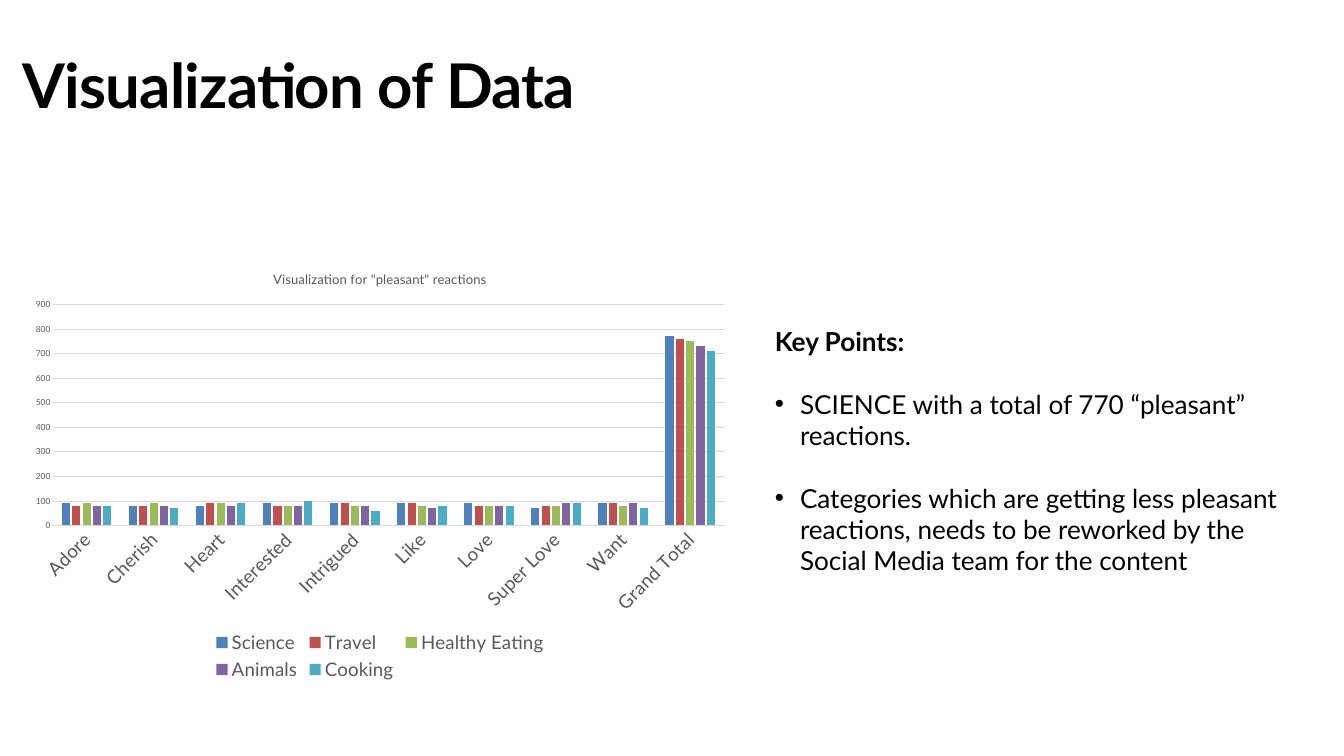
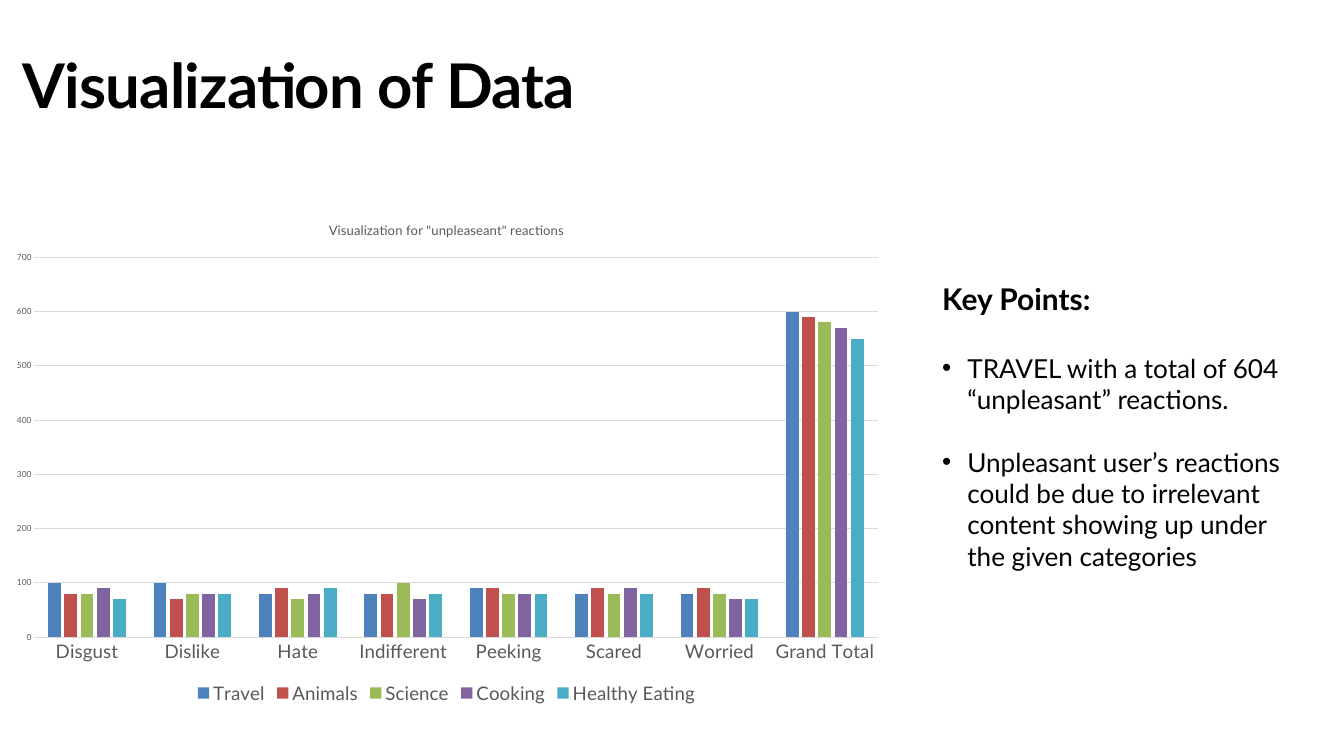
from dataclasses import dataclass
from lxml.etree import SubElement
from pptx import Presentation
from pptx.chart.data import CategoryChartData
from pptx.dml.color import RGBColor
from pptx.enum.chart import XL_CHART_TYPE, XL_LEGEND_POSITION, XL_TICK_MARK
from pptx.enum.text import MSO_ANCHOR, MSO_AUTO_SIZE, PP_ALIGN
from pptx.oxml.ns import qn
from pptx.util import Inches, Pt


@dataclass(frozen=True)
class Theme:
    """Colours, font and type sizes shared by the slides."""
    font: str = "Lato"
    ink: str = "000000"
    grey: str = "595959"
    rule: str = "D9D9D9"
    bars: tuple = ("4F81BD", "C0504D", "9BBB59", "8064A2", "4BACC6")
    title: int = 66
    leading: int = 96
    body: int = 28
    hang: int = 27
    caption: int = 14
    label: int = 20
    scale: int = 9


THEME = Theme()
TITLE_BOX = (0.33, 0.47, 9.12, 1.24)

PLEASANT = {
    "caption": 'Visualization for "pleasant" reactions',
    "groups": ["Adore", "Cherish", "Heart", "Interested", "Intrigued",
               "Like", "Love", "Super Love", "Want", "Grand Total"],
    "series": {
        "Science": (90, 80, 80, 90, 90, 90, 90, 70, 90, 770),
        "Travel": (80, 80, 90, 80, 90, 90, 80, 80, 90, 760),
        "Healthy Eating": (90, 90, 90, 80, 80, 80, 80, 80, 80, 750),
        "Animals": (80, 80, 80, 80, 80, 70, 80, 90, 90, 730),
        "Cooking": (80, 70, 90, 100, 60, 80, 80, 90, 70, 710),
    },
    "top": 900,
    "tilt": -45,
    "plot": (0.47, 0.74, 9.98, 3.29),
    "box": (0.32, 3.79, 10.67, 6.4),
}
UNPLEASANT = {
    "caption": 'Visualization for "unpleaseant" reactions',
    "groups": ["Disgust", "Dislike", "Hate", "Indifferent", "Peeking",
               "Scared", "Worried", "Grand Total"],
    "series": {
        "Travel": (100, 100, 80, 80, 90, 80, 80, 600),
        "Animals": (80, 70, 90, 80, 90, 90, 90, 590),
        "Science": (80, 80, 70, 100, 80, 80, 80, 580),
        "Cooking": (90, 80, 80, 70, 80, 90, 70, 570),
        "Healthy Eating": (70, 80, 90, 80, 80, 80, 70, 550),
    },
    "top": 700,
    "tilt": 0,
    "plot": (0.53, 0.79, 12.55, 5.65),
    "box": (-0.02, 3.04, 13.33, 7.5),
}
SLIDES = [
    (PLEASANT, (11.43, 4.79, 8.25, 3.87), 28, [
        "SCIENCE with a total of 770 “pleasant” reactions.",
        "Categories which are getting less pleasant reactions, needs to be "
        "reworked by the Social Media team for the content"]),
    (UNPLEASANT, (13.92, 4.12, 5.67, 4.48), 32, [
        "TRAVEL with a total of 604 “unpleasant” reactions.",
        "Unpleasant user’s reactions could be due to irrelevant content "
        "showing up under the given categories"]),
]


def style(font, size, color, bold=False):
    """Apply the theme font with a size, colour and weight."""
    font.name, font.size, font.bold = THEME.font, Pt(size), bold
    font.color.rgb = RGBColor.from_string(color)


def place(shape, box):
    """Move a placeholder to a box and return its text frame."""
    shape.left, shape.top, shape.width, shape.height = map(Inches, box)
    frame = shape.text_frame
    frame.word_wrap, frame.auto_size = True, MSO_AUTO_SIZE.NONE
    frame.vertical_anchor = MSO_ANCHOR.TOP
    return frame


def add_title(slide, box):
    """Fill the title placeholder."""
    frame = place(slide.shapes.title, box)
    frame.margin_left = frame.margin_top = 0
    frame.margin_right = frame.margin_bottom = 0
    frame.text = "Visualization of Data"
    para = frame.paragraphs[0]
    para.alignment, para.line_spacing = PP_ALIGN.LEFT, Pt(THEME.leading)
    run = para.runs[0]
    style(run.font, THEME.title, THEME.ink, True)
    run._r.get_or_add_rPr().set("spc", "-75")


def add_points(slide, box, size, points):
    """Fill the body placeholder with a heading and spaced bullets."""
    frame = place(slide.placeholders[1], box)
    frame.text = "\n".join(["Key Points:", *points])
    gaps = [0, size * 1.2] + [THEME.body * 1.2] * len(points)
    for i, (para, gap) in enumerate(zip(frame.paragraphs, gaps)):
        para.space_before, para.alignment = Pt(gap), PP_ALIGN.LEFT
        props = para._p.get_or_add_pPr()
        hang = Pt(THEME.hang) if i else 0
        props.set("marL", str(hang))
        props.set("indent", str(-hang))
        if i:
            SubElement(props, qn("a:buFont")).set("typeface", "Arial")
            SubElement(props, qn("a:buChar")).set("char", "•")
        else:
            SubElement(props, qn("a:buNone"))
        style(para.runs[0].font, THEME.body if i else size, THEME.ink, not i)


def set_plot(chart, plot, box):
    """Fix the inner plot area, given in inches inside the chart box."""
    area = chart._chartSpace.chart.plotArea
    layout = area.find(qn("c:layout"))
    if layout is None:
        layout = SubElement(area, qn("c:layout"))
        area.insert(0, layout)
    manual = SubElement(layout, qn("c:manualLayout"))
    pairs = [("layoutTarget", "inner"), ("xMode", "edge"), ("yMode", "edge")]
    parts = [part / full for part, full in zip(plot, box[2:] * 2)]
    for tag, value in pairs + list(zip("xywh", parts)):
        SubElement(manual, qn("c:" + tag)).set("val", str(value))


def set_axes(chart, top, tilt):
    """Style the category and value axes."""
    cat, val = chart.category_axis, chart.value_axis
    val.minimum_scale, val.maximum_scale, val.major_unit = 0, top, 100
    val.format.line.fill.background()
    for axis, size in ((cat, THEME.label), (val, THEME.scale)):
        axis.major_tick_mark = axis.minor_tick_mark = XL_TICK_MARK.NONE
        style(axis.tick_labels.font, size, THEME.grey)
    for line in (cat.format.line, val.major_gridlines.format.line):
        line.color.rgb, line.width = RGBColor.from_string(THEME.rule), Pt(0.75)
    text = cat._element.find(qn("c:txPr")).find(qn("a:bodyPr"))
    text.set("rot", str(tilt * 60000))


def add_bars(slide, info):
    """Add the clustered column chart of reactions."""
    data = CategoryChartData()
    data.categories = info["groups"]
    for name, values in info["series"].items():
        data.add_series(name, values)
    chart = slide.shapes.add_chart(XL_CHART_TYPE.COLUMN_CLUSTERED,
                                   *map(Inches, info["box"]), data).chart
    style(chart.font, 10, THEME.ink)
    chart.has_title = True
    frame = chart.chart_title.text_frame
    frame.text = info["caption"]
    style(frame.paragraphs[0].runs[0].font, THEME.caption, THEME.grey)
    chart.chart_title.include_in_layout = False
    chart.has_legend = True
    chart.legend.position = XL_LEGEND_POSITION.BOTTOM
    chart.legend.include_in_layout = False
    style(chart.legend.font, THEME.label, THEME.grey)
    plot = chart.plots[0]
    plot.gap_width, plot.overlap, plot.vary_by_categories = 219, -27, False
    for series, color in zip(plot.series, THEME.bars):
        series.format.fill.solid()
        series.format.fill.fore_color.rgb = RGBColor.from_string(color)
    set_axes(chart, info["top"], info["tilt"])
    set_plot(chart, info["plot"], info["box"])


def main():
    """Build both slides and save the deck."""
    deck = Presentation()
    deck.slide_width, deck.slide_height = Inches(20), Inches(11.25)
    for info, box, size, points in SLIDES:
        slide = deck.slides.add_slide(deck.slide_layouts[1])
        add_title(slide, TITLE_BOX)
        add_bars(slide, info)
        add_points(slide, box, size, points)
    deck.save("out.pptx")


if __name__ == "__main__":
    main()
